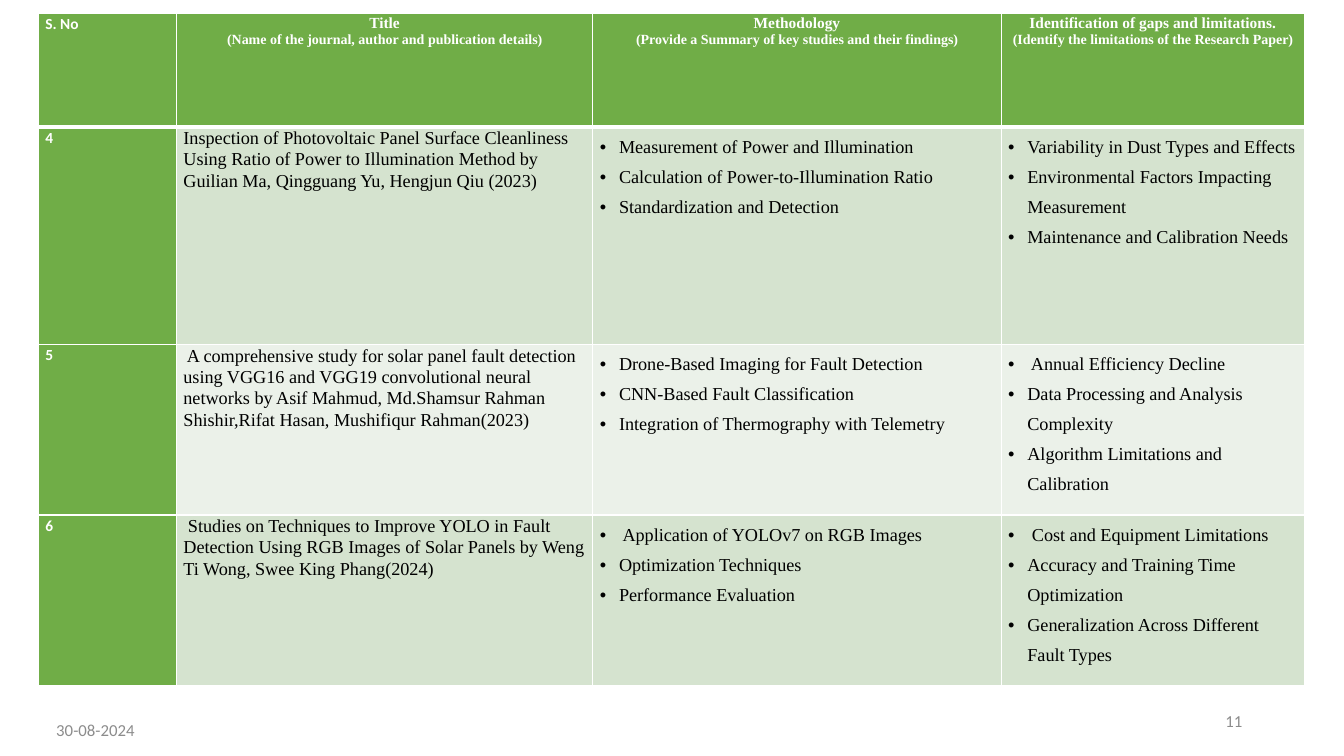
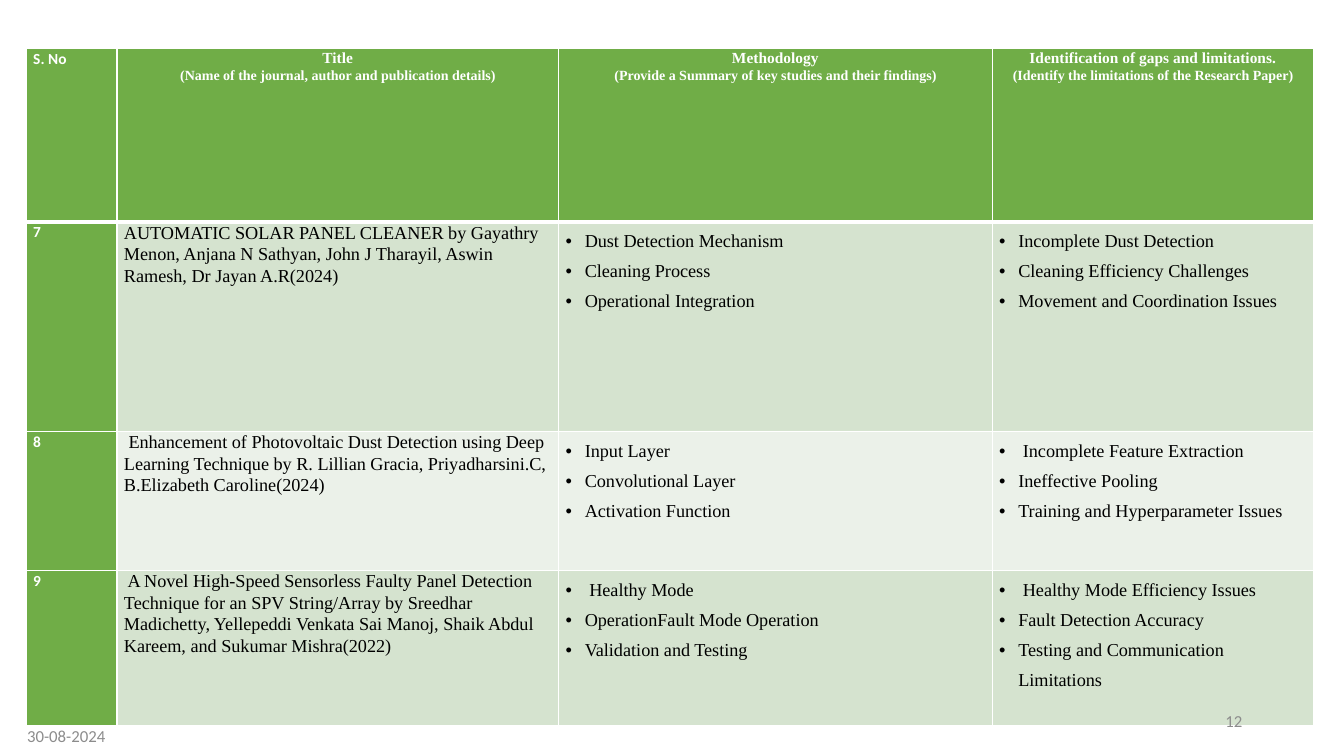
from dataclasses import dataclass

from lxml.etree import SubElement
from pptx import Presentation
from pptx.dml.color import RGBColor
from pptx.enum.text import MSO_ANCHOR, PP_ALIGN
from pptx.oxml import parse_xml
from pptx.oxml.ns import nsdecls, qn
from pptx.util import Inches, Pt


@dataclass(frozen=True)
class Theme:
    green: str = "70AD47"
    bands: tuple = ("D5E3CF", "EBF1E9")
    white: str = "FFFFFF"
    black: str = "000000"
    gray: str = "8C8C8C"
    sans: str = "Calibri"
    serif: str = "Times New Roman"
    label_size: float = 11
    hint_size: float = 10
    body_size: float = 13
    footer_size: float = 12
    thin_line: float = 1
    thick_line: float = 3
    tight_spacing: float = 1.07
    open_spacing: float = 1.5
    cell_margin: float = 0.07
    bullet_indent: float = 0.19


HEADINGS = [
    ("Title", "(Name of the journal, author and publication details)"),
    ("Methodology", "(Provide a Summary of key studies and their findings)"),
    ("Identification of gaps and limitations.", "(Identify the limitations of the Research Paper)"),
]


class SurveyDeck:
    def __init__(self, theme):
        self.theme = theme
        self.presentation = Presentation()
        self.presentation.slide_width = Inches(13.33)
        self.presentation.slide_height = Inches(7.5)
        self.slide = None

    def add_slide(self):
        self.slide = self.presentation.slides.add_slide(self.presentation.slide_layouts[6])

    def add_run(self, paragraph, text, size, font, color, bold=False):
        run = paragraph.add_run()
        run.text = text
        run.font.size = Pt(size)
        run.font.name = font
        run.font.bold = bold
        run.font.color.rgb = RGBColor.from_string(color)

    def next_paragraph(self, frame, index, spacing):
        paragraph = frame.add_paragraph() if index else frame.paragraphs[0]
        paragraph.line_spacing = spacing
        return paragraph

    def style_cell(self, cell, color, top, bottom):
        cell.margin_left = cell.margin_right = Inches(self.theme.cell_margin)
        cell.margin_top = cell.margin_bottom = 0
        cell.fill.solid()
        cell.fill.fore_color.rgb = RGBColor.from_string(color)
        properties = cell._tc.get_or_add_tcPr()
        thin = self.theme.thin_line
        widths = {"lnL": thin, "lnR": thin, "lnT": top, "lnB": bottom}
        for position, (side, width) in enumerate(widths.items()):
            border = parse_xml(
                f'<a:{side} {nsdecls("a")} w="{Pt(width)}"><a:solidFill>'
                f'<a:srgbClr val="{self.theme.white}"/></a:solidFill></a:{side}>'
            )
            properties.insert(position, border)

    def write_label(self, cell, text):
        paragraph = self.next_paragraph(cell.text_frame, 0, self.theme.tight_spacing)
        self.add_run(paragraph, text, self.theme.label_size, self.theme.sans, self.theme.white, True)

    def write_heading(self, cell, heading):
        sizes = (self.theme.label_size, self.theme.hint_size)
        for index, (text, size) in enumerate(zip(heading, sizes)):
            paragraph = self.next_paragraph(cell.text_frame, index, self.theme.tight_spacing)
            paragraph.alignment = PP_ALIGN.CENTER
            self.add_run(paragraph, text, size, self.theme.serif, self.theme.white, True)

    def write_body(self, paragraph, text):
        self.add_run(paragraph, text, self.theme.body_size, self.theme.serif, self.theme.black)

    def write_bullets(self, cell, items):
        for index, text in enumerate(items):
            paragraph = self.next_paragraph(cell.text_frame, index, self.theme.open_spacing)
            properties = paragraph._p.get_or_add_pPr()
            indent = Inches(self.theme.bullet_indent)
            properties.set("marL", str(indent))
            properties.set("indent", str(-indent))
            SubElement(properties, qn("a:buFont")).set("typeface", "Arial")
            SubElement(properties, qn("a:buChar")).set("char", "•")
            self.write_body(paragraph, text)

    def add_survey_table(self, left, top, widths, heights, first_number, papers):
        theme = self.theme
        frame = self.slide.shapes.add_table(
            len(heights), len(widths), Inches(left), Inches(top),
            Inches(sum(widths)), Inches(sum(heights)),
        )
        table = frame.table
        for column, width in zip(table.columns, widths):
            column.width = Inches(width)
        for row, height in zip(table.rows, heights):
            row.height = Inches(height)

        for row_index in range(len(heights)):
            band = theme.bands[(row_index - 1) % 2]
            upper = theme.thick_line if row_index == 1 else theme.thin_line
            lower = theme.thick_line if row_index == 0 else theme.thin_line
            for column_index in range(len(widths)):
                is_green = row_index == 0 or column_index == 0
                color = theme.green if is_green else band
                self.style_cell(table.cell(row_index, column_index), color, upper, lower)

        self.write_label(table.cell(0, 0), "S. No")
        for column_index, heading in enumerate(HEADINGS, 1):
            self.write_heading(table.cell(0, column_index), heading)
        for row_index, (title, methods, gaps) in enumerate(papers, 1):
            self.write_label(table.cell(row_index, 0), str(first_number + row_index - 1))
            title_frame = table.cell(row_index, 1).text_frame
            self.write_body(self.next_paragraph(title_frame, 0, theme.tight_spacing), title)
            self.write_bullets(table.cell(row_index, 2), methods)
            self.write_bullets(table.cell(row_index, 3), gaps)

    def add_footer_text(self, left, top, text, alignment):
        box = self.slide.shapes.add_textbox(Inches(left), Inches(top), Inches(3), Inches(0.4))
        frame = box.text_frame
        frame.word_wrap = True
        frame.vertical_anchor = MSO_ANCHOR.MIDDLE
        paragraph = frame.paragraphs[0]
        paragraph.alignment = alignment
        self.add_run(paragraph, text, self.theme.footer_size, self.theme.sans, self.theme.gray)

    def add_footer(self, date_left, date_top, number):
        self.add_footer_text(date_left, date_top, "30-08-2024", PP_ALIGN.LEFT)
        self.add_footer_text(9.42, 6.95, str(number), PP_ALIGN.RIGHT)


FAULT_PAPERS = [
    (
        "Inspection of Photovoltaic Panel Surface Cleanliness Using Ratio of Power to "
        "Illumination Method by Guilian Ma, Qingguang Yu, Hengjun Qiu (2023)",
        ["Measurement of Power and Illumination", "Calculation of Power-to-Illumination Ratio",
         "Standardization and Detection"],
        ["Variability in Dust Types and Effects", "Environmental Factors Impacting Measurement",
         "Maintenance and Calibration Needs"],
    ),
    (
        " A comprehensive study for solar panel fault detection using VGG16 and VGG19 "
        "convolutional neural networks by Asif Mahmud, Md.Shamsur Rahman Shishir,"
        "Rifat Hasan, Mushifiqur Rahman(2023)",
        ["Drone-Based Imaging for Fault Detection", "CNN-Based Fault Classification",
         "Integration of Thermography with Telemetry"],
        [" Annual Efficiency Decline", "Data Processing and Analysis Complexity",
         "Algorithm Limitations and Calibration"],
    ),
    (
        " Studies on Techniques to Improve YOLO in Fault Detection Using RGB Images of "
        "Solar Panels by Weng Ti Wong, Swee King Phang(2024)",
        [" Application of YOLOv7 on RGB Images", "Optimization Techniques",
         "Performance Evaluation"],
        [" Cost and Equipment Limitations", "Accuracy and Training Time Optimization",
         "Generalization Across Different Fault Types"],
    ),
]

CLEANING_PAPERS = [
    (
        "AUTOMATIC SOLAR PANEL CLEANER by Gayathry Menon, Anjana N Sathyan, "
        "John J Tharayil, Aswin Ramesh, Dr Jayan A.R(2024)",
        ["Dust Detection Mechanism", "Cleaning Process", "Operational Integration"],
        ["Incomplete Dust Detection", "Cleaning Efficiency Challenges",
         "Movement and Coordination Issues"],
    ),
    (
        " Enhancement of Photovoltaic Dust Detection using Deep Learning Technique by "
        "R. Lillian Gracia, Priyadharsini.C, B.Elizabeth Caroline(2024)",
        ["Input Layer", "Convolutional Layer", "Activation Function"],
        [" Incomplete Feature Extraction", "Ineffective Pooling",
         "Training and Hyperparameter Issues"],
    ),
    (
        " A Novel High-Speed Sensorless Faulty Panel Detection Technique for an SPV "
        "String/Array by Sreedhar Madichetty, Yellepeddi Venkata Sai Manoj, "
        "Shaik Abdul Kareem, and Sukumar Mishra(2022)",
        [" Healthy Mode", "OperationFault Mode Operation", "Validation and Testing"],
        [" Healthy Mode Efficiency Issues", "Fault Detection Accuracy",
         "Testing and Communication Limitations"],
    ),
]


def main():
    deck = SurveyDeck(Theme())

    deck.add_slide()
    deck.add_survey_table(
        0.38, 0.13, [1.37, 4.13, 4.05, 3.01], [1.13, 2.16, 1.69, 1.69], 4, FAULT_PAPERS
    )
    deck.add_footer(0.46, 7.04, 11)

    deck.add_slide()
    deck.add_survey_table(
        0.26, 0.48, [0.9, 4.38, 4.3, 3.19], [1.72, 2.08, 1.38, 1.54], 7, CLEANING_PAPERS
    )
    deck.add_footer(0.17, 7.1, 12)

    deck.presentation.save("out.pptx")


if __name__ == "__main__":
    main()
